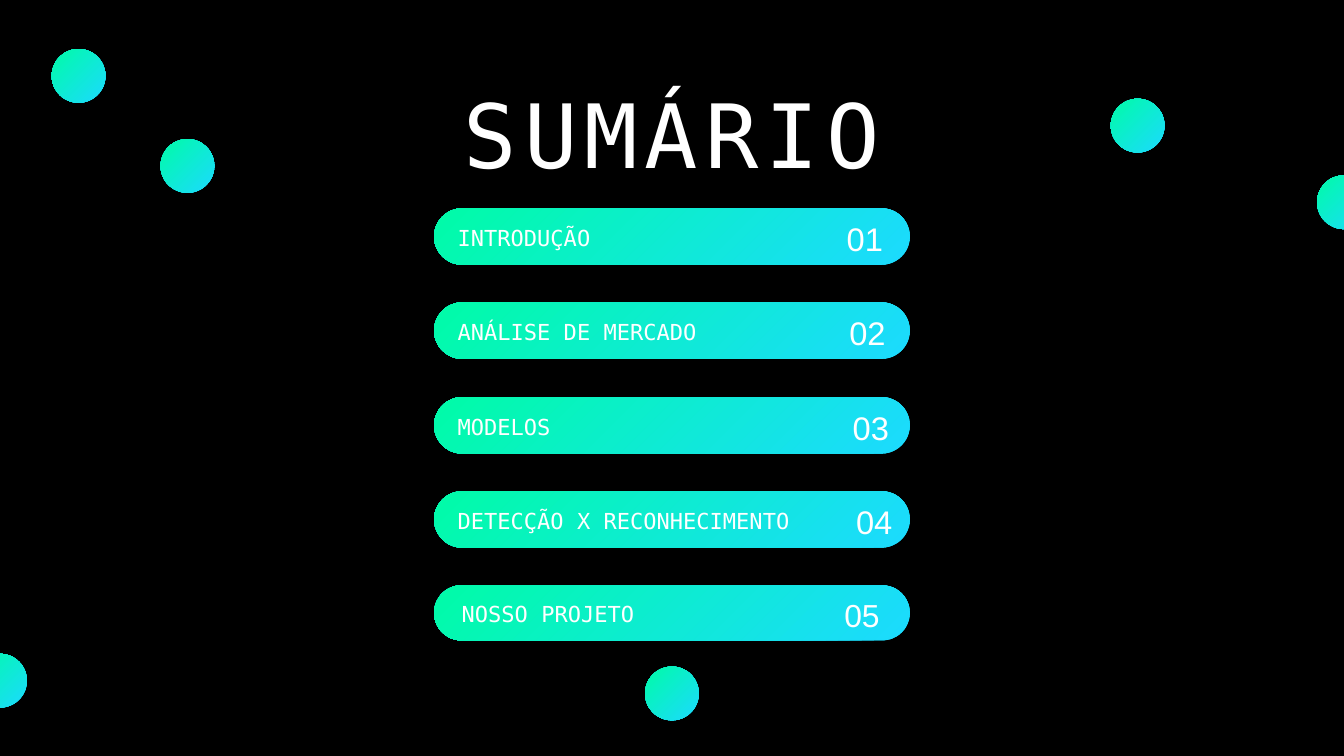
from dataclasses import dataclass

from lxml import etree
from pptx import Presentation
from pptx.dml.color import RGBColor
from pptx.enum import shapes, text
from pptx.oxml import ns
from pptx.util import Pt

PX = 9144  # EMU per px, 100 px to the inch
WHITE, GREEN, CYAN = "FFFFFF", "00FCA7", "1CDAFF"
MONO, SANS = "DejaVu Sans Mono", "Arial"
LEFT, CENTER, RIGHT = text.PP_ALIGN.LEFT, text.PP_ALIGN.CENTER, text.PP_ALIGN.RIGHT


@dataclass
class Box:
    x: int
    y: int
    w: int
    h: int

    def emu(self) -> list[int]:
        return [v * PX for v in (self.x, self.y, self.w, self.h)]


@dataclass
class Style:
    font: str
    size: float
    leading: float
    align: text.PP_ALIGN
    spacing: int = 0  # hundredths of a point


@dataclass
class Topic:
    label: str
    number: str
    pill: Box
    label_box: Box
    number_box: Box
    label_style: Style
    number_style: Style


def color(value: str) -> RGBColor:
    return RGBColor.from_string(value)


def add_gradient_shape(s, kind: shapes.MSO_SHAPE, box: Box):
    """Borderless shape with a gradient that spreads from its top left corner."""
    sp = s.shapes.add_shape(kind, *box.emu())
    sp.shadow.inherit = False
    sp.line.fill.background()
    sp.fill.gradient()
    for stop, value, position in zip(sp.fill.gradient_stops, (GREEN, CYAN), (0, 1)):
        stop.color.rgb = color(value)
        stop.position = position
    grad = sp._element.spPr.find(ns.qn("a:gradFill"))
    lin = grad.find(ns.qn("a:lin"))
    radial = etree.Element(ns.qn("a:path"), {"path": "circle"})
    etree.SubElement(radial, ns.qn("a:fillToRect"), {"r": "100000", "b": "100000"})
    grad.replace(lin, radial)
    return sp


def add_text(s, content: str, box: Box, style: Style) -> None:
    tf = s.shapes.add_textbox(*box.emu()).text_frame
    tf.margin_left = tf.margin_top = tf.margin_right = tf.margin_bottom = 0
    tf.word_wrap = True
    tf.auto_size = text.MSO_AUTO_SIZE.SHAPE_TO_FIT_TEXT
    tf.text = content
    p = tf.paragraphs[0]
    p.alignment = style.align
    p.line_spacing = Pt(style.leading)
    r = p.runs[0]
    r.font.name = style.font
    r.font.size = Pt(style.size)
    r.font.color.rgb = color(WHITE)
    if style.spacing:
        r._r.get_or_add_rPr().set("spc", str(style.spacing))


def add_topic(s, topic: Topic) -> None:
    pill = add_gradient_shape(s, shapes.MSO_SHAPE.ROUNDED_RECTANGLE, topic.pill)
    pill.adjustments[0] = 0.5
    add_text(s, topic.label, topic.label_box, topic.label_style)
    add_text(s, topic.number, topic.number_box, topic.number_style)


def make_topics() -> list[Topic]:
    label_style = Style(MONO, 23.6, 33.1, LEFT)
    number_style = Style(SANS, 35, 49, RIGHT)
    rows = [
        ("INTRODUÇÃO", 310, 473, 1098),
        ("ANÁLISE DE MERCADO", 450, 473, 1102),
        ("MODELOS", 591, 473, 1107),
        ("DETECÇÃO X RECONHECIMENTO", 731, 584, 1112),
    ]
    topics = [
        Topic(label, f"{i:02}", Box(646, y, 708, 84), Box(681, y + 17, label_w, 44),
              Box(number_x, y + 6, 216, 65), label_style, number_style)
        for i, (label, y, label_w, number_x) in enumerate(rows, 1)
    ]
    # The last row is slightly smaller
    topics.append(
        Topic("NOSSO PROJETO", "05", Box(646, 871, 708, 82), Box(687, 887, 461, 44),
              Box(1098, 877, 211, 62), Style(MONO, 23.6, 33, LEFT),
              Style(SANS, 34.1, 47.8, RIGHT)))
    return topics


def main() -> None:
    prs = Presentation()
    prs.slide_width, prs.slide_height = 2000 * PX, 1125 * PX
    s = prs.slides.add_slide(prs.slide_layouts[6])
    s.background.fill.solid()
    s.background.fill.fore_color.rgb = color("000000")

    # Title
    add_text(s, "SUMÁRIO", Box(203, 92, 1594, 179), Style(MONO, 95, 133, CENTER, 760))

    # Summary rows
    for topic in make_topics():
        add_topic(s, topic)

    # Scattered dots
    for x, y in [(1653, 147), (1960, 261), (960, 992), (-40, 973), (239, 207), (77, 73)]:
        add_gradient_shape(s, shapes.MSO_SHAPE.OVAL, Box(x, y, 80, 80))

    prs.save("out.pptx")


if __name__ == "__main__":
    main()
